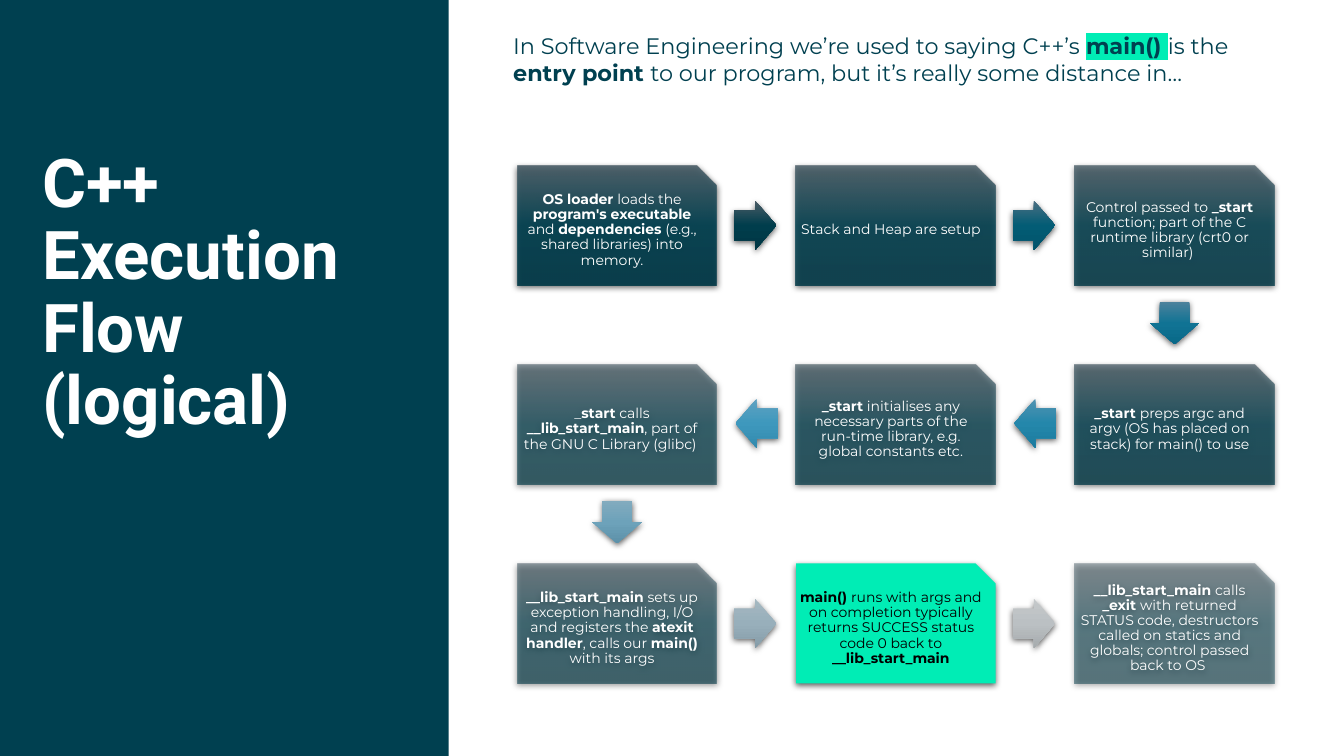
from pptx import Presentation
from pptx.dml.color import RGBColor
from pptx.enum.shapes import MSO_SHAPE
from pptx.enum.text import MSO_ANCHOR, PP_ALIGN
from pptx.oxml import parse_xml
from pptx.oxml.ns import nsdecls
from pptx.util import Inches, Pt

RECT, SNIP, ARROW = (MSO_SHAPE.RECTANGLE, MSO_SHAPE.SNIP_1_RECTANGLE,
                     MSO_SHAPE.RIGHT_ARROW)
MIDDLE, TOP = MSO_ANCHOR.MIDDLE, MSO_ANCHOR.TOP
CENTER, LEFT = PP_ALIGN.CENTER, PP_ALIGN.LEFT

TEAL = RGBColor(0x00, 0x40, 0x50)
MINT = RGBColor(0x00, 0xED, 0xB5)
WHITE = RGBColor(0xFF, 0xFF, 0xFF)
BLACK = RGBColor(0x00, 0x00, 0x00)

# Content: text between ** marks is bold
TITLE = "C++ Execution Flow (logical)"
INTRO = ("In Software Engineering we’re used to saying C++’s **main() **is the "
         "**entry point **to our program, but it’s really some distance in…")
HIGHLIGHTED = "main() "
STEPS = [
    "**OS loader **loads the **program's executable **and **dependencies** "
    "(e.g., shared libraries) into memory.",
    "Stack and Heap are setup",
    "Control passed to **_start **function; part of the C runtime library "
    "(crt0 or similar) ",
    "**_start **preps argc and argv (OS has placed on stack) for main() to use",
    "**_start** initialises any necessary parts of the run-time library, "
    "e.g. global constants etc.",
    "_**start** calls **__lib_start_main**, part of the GNU C Library (glibc) ",
    "**__lib_start_main **sets up exception handling, I/O and registers the "
    "**atexit handler**, calls our **main() **with its args",
    "**main() **runs with args and on completion typically returns SUCCESS "
    "status code 0 back to **__lib_start_main**",
    "**__lib_start_main **calls **_exit **with returned STATUS code, "
    "destructors called on statics and globals; control passed back to OS ",
]
MAIN_STEP = 7
STEP_COLORS = ("4B5E68", "004050", "003947")
ARROW_COLORS = [
    ("4B5C66", "003D4C", "003644"), ("4B6F82", "035C75", "00536B"),
    ("4D829C", "107394", "096988"), ("5293B1", "2487AB", "1B7B9E"),
    ("60A2C1", "3E98BD", "328AAD"), ("82ABBE", "6DA2BA", "5D91A9"),
    ("A5B8C1", "98AFBB", "859CA8"), ("C4C8CA", "BBC0C3", "A6ABAD"),
]

# Grid, in inches
COLS = 3
GRID_X, GRID_Y, PITCH_X, PITCH_Y = 5.13, 1.64, 2.765, 1.975
BOX_W, BOX_H, ARROW_W, ARROW_H = 1.98, 1.19, 0.42, 0.49
# Arrow offset from its box and rotation, by direction of travel
ARROW_PLACES = {(1, 0): (2.15, 0.35, 0), (-1, 0): (-0.6, 0.34, 180),
                (0, 1): (0.78, 1.32, 90)}

STEP_TEXT = {"font": {"name": "Montserrat", "size": Pt(10)},
             "para": {"alignment": CENTER, "line_spacing": 0.9,
                      "space_after": Pt(3.5)},
             "anchor": MIDDLE, "inset": Inches(0.04)}
TITLE_TEXT = {"font": {"name": "Roboto", "size": Pt(48)},
              "para": {"alignment": LEFT, "line_spacing": 0.9},
              "anchor": TOP, "inset": 0}
INTRO_TEXT = {"font": {"name": "Montserrat", "size": Pt(16)},
              "para": {"alignment": LEFT, "space_after": Pt(6.5)},
              "anchor": TOP, "inset": 0}


def write(sp, text, color, style):
    tf = sp.text_frame
    tf.word_wrap = True
    tf.vertical_anchor = style["anchor"]
    for side in ("left", "top", "right", "bottom"):
        setattr(tf, "margin_" + side, style["inset"])
    p = tf.paragraphs[0]
    for name, value in style["para"].items():
        setattr(p, name, value)
    for i, part in enumerate(text.split("**")):
        if part:
            r = p.add_run()
            r.text = part
            for name, value in style["font"].items():
                setattr(r.font, name, value)
            r.font.bold = i % 2 == 1
            r.font.color.rgb = color
    return p


def add_shape(kind, x, y, w, h):
    sp = slide.shapes.add_shape(kind, Inches(x), Inches(y), Inches(w), Inches(h))
    sp.line.fill.background()
    sp.shadow.inherit = False
    return sp


def add_text(x, y, w, h):
    return slide.shapes.add_textbox(Inches(x), Inches(y), Inches(w), Inches(h))


def solid(sp, color):
    sp.fill.solid()
    sp.fill.fore_color.rgb = color


def gradient(sp, colors, alpha=100):
    stops = "".join(
        f'<a:gs pos="{i * 50000}"><a:srgbClr val="{c}">'
        f'<a:alpha val="{alpha * 1000}"/></a:srgbClr></a:gs>'
        for i, c in enumerate(colors))
    sp._element.spPr.prstGeom.addnext(parse_xml(
        f'<a:gradFill {nsdecls("a")} rotWithShape="0"><a:gsLst>{stops}</a:gsLst>'
        '<a:lin ang="5400000" scaled="0"/></a:gradFill>'))


def drop_shadow(sp):
    effects = sp._element.spPr.find("{*}effectLst")
    effects.append(parse_xml(
        f'<a:outerShdw {nsdecls("a")} blurRad="{Pt(4.5)}" dist="{Pt(1.5)}" '
        'dir="5400000" algn="ctr" rotWithShape="0"><a:srgbClr val="000000">'
        '<a:alpha val="63000"/></a:srgbClr></a:outerShdw>'))


def cell(i):
    """Column and row of a step; every second row runs right to left."""
    row, col = divmod(i, COLS)
    return (COLS - 1 - col if row % 2 else col), row


prs = Presentation()
prs.slide_width, prs.slide_height = Inches(13.33), Inches(7.5)
slide = prs.slides.add_slide(prs.slide_layouts[6])

# Side panel and title
solid(add_shape(RECT, 0, 0, 4.45, 7.5), TEAL)
write(add_text(0.42, 1.48, 3.77, 3.01), f"**{TITLE}**", WHITE, TITLE_TEXT)

# Introduction
p = write(add_text(5.09, 0.32, 7.55, 0.6), INTRO, TEAL, INTRO_TEXT)
for r in p.runs:
    if r.text == HIGHLIGHTED:
        r.font._element.find("{*}latin").addprevious(parse_xml(
            f'<a:highlight {nsdecls("a")}><a:srgbClr val="{MINT}"/></a:highlight>'))

# Steps, each with an arrow to the next
for i, text in enumerate(STEPS):
    col, row = cell(i)
    x, y = GRID_X + col * PITCH_X, GRID_Y + row * PITCH_Y
    box = add_shape(SNIP, x, y, BOX_W, BOX_H)
    drop_shadow(box)
    if i == MAIN_STEP:
        solid(box, MINT)
    else:
        gradient(box, STEP_COLORS, 90 - 5 * i)
    write(box, text, BLACK if i == MAIN_STEP else WHITE, STEP_TEXT)

    if i < len(ARROW_COLORS):
        next_col, next_row = cell(i + 1)
        dx, dy, turn = ARROW_PLACES[next_col - col, next_row - row]
        arrow = add_shape(ARROW, x + dx, y + dy, ARROW_W, ARROW_H)
        arrow.adjustments[0], arrow.adjustments[1] = 0.6, 0.5
        arrow.rotation = turn
        gradient(arrow, ARROW_COLORS[i])
        drop_shadow(arrow)

prs.save("out.pptx")
